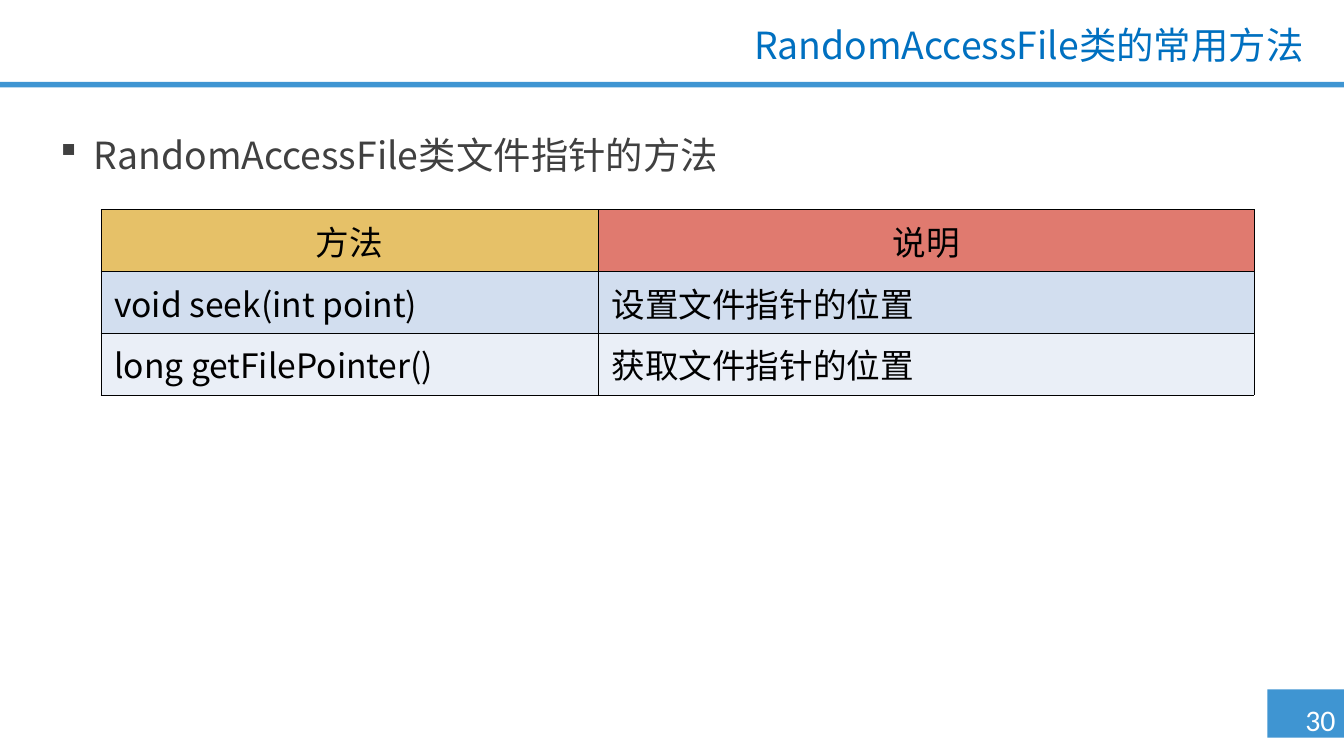
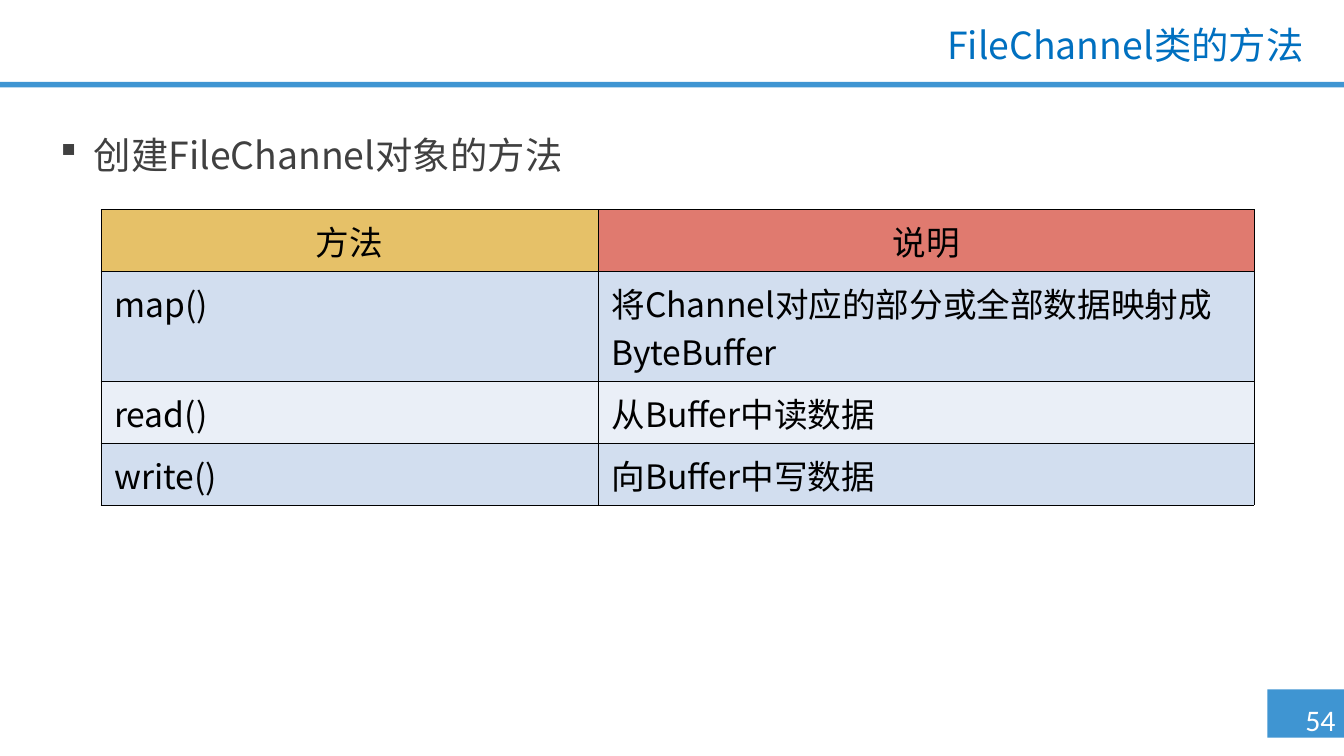
from dataclasses import dataclass

from lxml import etree
from pptx import Presentation
from pptx.dml.color import RGBColor
from pptx.enum.shapes import MSO_SHAPE
from pptx.enum.text import MSO_ANCHOR, MSO_AUTO_SIZE, PP_ALIGN
from pptx.oxml.ns import qn
from pptx.util import Inches, Pt

RECTANGLE = MSO_SHAPE.RECTANGLE
LEFT, CENTER, RIGHT = PP_ALIGN.LEFT, PP_ALIGN.CENTER, PP_ALIGN.RIGHT
TOP, MIDDLE = MSO_ANCHOR.TOP, MSO_ANCHOR.MIDDLE
NO_AUTOFIT = MSO_AUTO_SIZE.NONE

BLUE = "3F95D2"
TITLE_BLUE = "0070C0"
DARK_GRAY = "404040"
BLACK = "000000"
WHITE = "FFFFFF"
HEADER_FILLS = ("E6C168", "E07A6F")
BAND_FILLS = ("D2DEEF", "EAEFF7")

CJK_FONT = "Noto Sans CJK SC"
TITLE_FONT = "Lato"
NUMBER_FONT = "Calibri"
BULLET_FONT = "Wingdings"
SQUARE_BULLET = "§"

HEADERS = ("方法", "说明")
COLUMN_WIDTHS = (3.7, 4.88)
ROW_HEIGHT = 0.46
EXTRA_LINE_HEIGHT = 0.36
BORDER_SIDES = ("a:lnL", "a:lnR", "a:lnT", "a:lnB")


@dataclass(frozen=True)
class Box:
    """Position and size in inches."""
    left: float
    top: float
    width: float
    height: float

    def lengths(self) -> tuple:
        """Return the four values as lengths."""
        return tuple(Inches(value) for value in
                     (self.left, self.top, self.width, self.height))


@dataclass(frozen=True)
class Method:
    """One method, its description and the lines the description takes."""
    signature: str
    description: str
    lines: int = 1

    def row_height(self) -> float:
        """Return the height of the table row in inches."""
        return ROW_HEIGHT + EXTRA_LINE_HEIGHT * (self.lines - 1)


@dataclass(frozen=True)
class MethodSlide:
    """Content of one slide that lists the methods of a class."""
    number: int
    class_name: str
    title_ending: str
    heading: str
    methods: tuple


BANDS = (Box(9.43, 5.13, 0.57, 0.36), Box(0, 0.61, 10, 0.04))
NUMBER_BOX = Box(9.59, 5.17, 0.52, 0.37)
TITLE_BOX = Box(2.4, 0.15, 7.4, 0.4)
HEADING_BOX = Box(0.35, 0.92, 9.13, 0.46)

METHOD_SLIDES = (
    MethodSlide(30, "RandomAccessFile", "类的常用方法",
                "RandomAccessFile类文件指针的方法",
                (Method("void seek(int point)", "设置文件指针的位置"),
                 Method("long getFilePointer()", "获取文件指针的位置"))),
    MethodSlide(54, "FileChannel", "类的方法",
                "创建FileChannel对象的方法",
                (Method("map()", "将Channel对应的部分或全部数据映射成ByteBuffer", 2),
                 Method("read()", "从Buffer中读数据"),
                 Method("write()", "向Buffer中写数据"))),
)


def color(value: str) -> RGBColor:
    """Turn a hex string into a colour."""
    return RGBColor.from_string(value)


def add_text(paragraph, text: str, *, size: float, fill: str,
             font: str = CJK_FONT, align=LEFT) -> None:
    """Append a formatted run to a paragraph."""
    paragraph.alignment = align
    run = paragraph.add_run()
    run.text = text
    run.font.size = Pt(size)
    run.font.name = font
    run.font.bold = False
    run.font.color.rgb = color(fill)
    east_asian = etree.SubElement(run.font._element, qn("a:ea"))
    east_asian.set("typeface", CJK_FONT)


def set_indent(paragraph, hanging: float) -> None:
    """Give a paragraph a hanging indent in inches."""
    properties = paragraph._p.get_or_add_pPr()
    properties.set("marL", str(Inches(hanging)))
    properties.set("indent", str(-Inches(hanging)))


def add_bullet(paragraph, character: str) -> None:
    """Put a bullet character before a paragraph."""
    properties = paragraph._p.get_or_add_pPr()
    font = etree.SubElement(properties, qn("a:buFont"))
    font.set("typeface", BULLET_FONT)
    font.set("charset", "2")
    etree.SubElement(properties, qn("a:buChar")).set("char", character)


def add_band(slide, box: Box) -> None:
    """Draw a plain blue rectangle."""
    band = slide.shapes.add_shape(RECTANGLE, *box.lengths())
    band.shadow.inherit = False
    band.fill.solid()
    band.fill.fore_color.rgb = color(BLUE)
    band.line.fill.background()


def add_number(slide, number: int) -> None:
    """Write the slide number in the corner."""
    frame = slide.shapes.add_textbox(*NUMBER_BOX.lengths()).text_frame
    frame.word_wrap = False
    add_text(frame.paragraphs[0], f"{number} ", size=16, fill=WHITE,
             font=NUMBER_FONT, align=CENTER)


def set_title(slide, class_name: str, ending: str) -> None:
    """Place and format the title."""
    title = slide.shapes.title
    title.left, title.top, title.width, title.height = TITLE_BOX.lengths()
    frame = title.text_frame
    frame.auto_size = NO_AUTOFIT
    frame.word_wrap = True
    frame.vertical_anchor = MIDDLE
    paragraph = frame.paragraphs[0]
    set_indent(paragraph, 1)
    paragraph.line_spacing = 0.9
    for text, font in ((class_name, CJK_FONT), (ending, TITLE_FONT)):
        add_text(paragraph, text, size=20, fill=TITLE_BLUE, font=font, align=RIGHT)


def add_heading(slide, text: str) -> None:
    """Write the bulleted heading above the table."""
    frame = slide.shapes.add_textbox(*HEADING_BOX.lengths()).text_frame
    frame.word_wrap = True
    paragraph = frame.paragraphs[0]
    set_indent(paragraph, 0.25)
    add_bullet(paragraph, SQUARE_BULLET)
    paragraph.line_spacing = Pt(25)
    add_text(paragraph, text, size=20, fill=DARK_GRAY)


def add_borders(cell) -> None:
    """Draw thin black lines around a cell."""
    properties = cell._tc.get_or_add_tcPr()
    for position, side in enumerate(BORDER_SIDES):
        line = etree.Element(qn(side), w=str(Pt(0.25)))
        fill = etree.SubElement(line, qn("a:solidFill"))
        etree.SubElement(fill, qn("a:srgbClr")).set("val", BLACK)
        properties.insert(position, line)


def add_method_table(slide, methods: tuple) -> None:
    """Draw the table of methods and descriptions."""
    rows = (Method(*HEADERS), *methods)
    height = sum(row.row_height() for row in rows)
    box = Box(0.75, 1.56, sum(COLUMN_WIDTHS), height)
    table = slide.shapes.add_table(len(rows), len(HEADERS), *box.lengths()).table
    for column, width in zip(table.columns, COLUMN_WIDTHS):
        column.width = Inches(width)
    for row_index, row in enumerate(rows):
        table.rows[row_index].height = Inches(row.row_height())
        is_header = row_index == 0
        for column_index, text in enumerate((row.signature, row.description)):
            cell = table.cell(row_index, column_index)
            cell.vertical_anchor = TOP
            cell.fill.solid()
            cell.fill.fore_color.rgb = color(
                HEADER_FILLS[column_index] if is_header
                else BAND_FILLS[(row_index - 1) % 2])
            add_borders(cell)
            add_text(cell.text_frame.paragraphs[0], text, size=18, fill=BLACK,
                     align=CENTER if is_header else LEFT)


def add_method_slide(presentation, content: MethodSlide) -> None:
    """Build one complete slide."""
    slide = presentation.slides.add_slide(presentation.slide_layouts[5])
    for box in BANDS:
        add_band(slide, box)
    add_number(slide, content.number)
    set_title(slide, content.class_name, content.title_ending)
    add_heading(slide, content.heading)
    add_method_table(slide, content.methods)


def main() -> None:
    """Create and save the presentation."""
    presentation = Presentation()
    presentation.slide_width = Inches(10)
    presentation.slide_height = Inches(10 * 9 / 16)
    for content in METHOD_SLIDES:
        add_method_slide(presentation, content)
    presentation.save("out.pptx")


if __name__ == "__main__":
    main()
